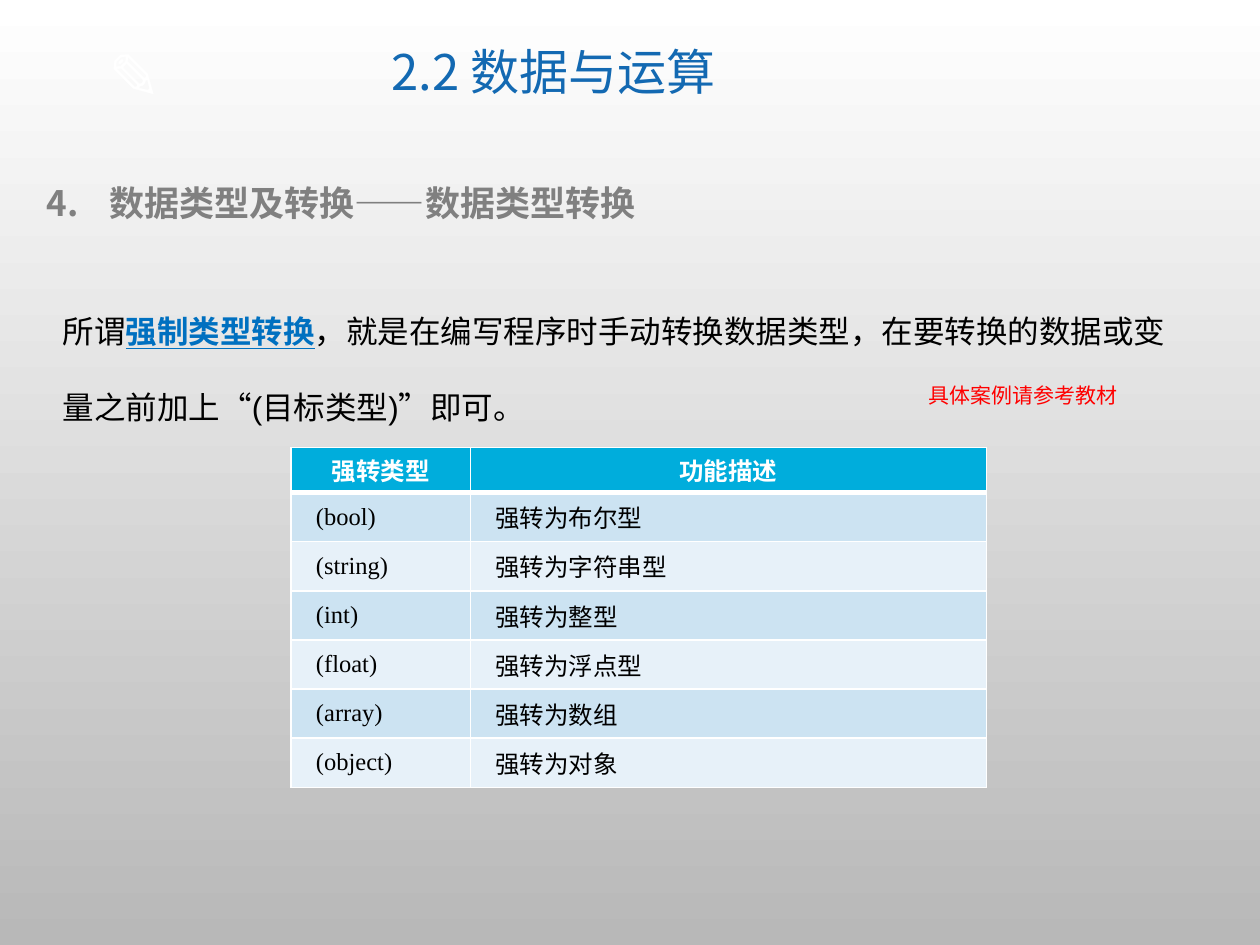
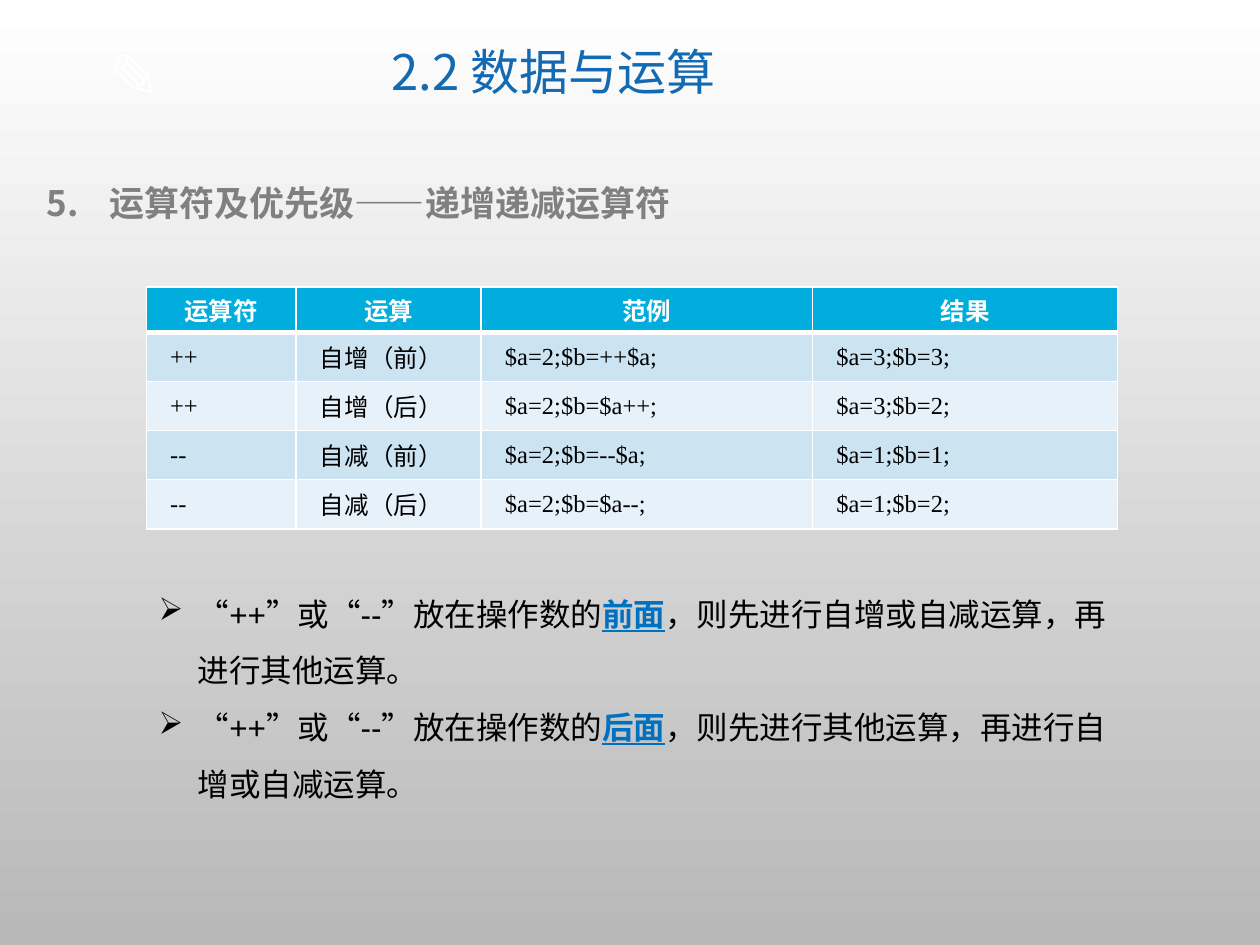
import pptx
import pptx.dml.color
import pptx.enum.text
import pptx.oxml
import pptx.oxml.ns
import pptx.util
from lxml import etree

Cm = pptx.util.Cm
Pt = pptx.util.Pt
ALIGN = pptx.enum.text.PP_ALIGN
ANCHOR = pptx.enum.text.MSO_ANCHOR
AUTO_SIZE = pptx.enum.text.MSO_AUTO_SIZE
qn = pptx.oxml.ns.qn

WHITE, BLACK, RED = "FFFFFF", "000000", "FF0000"
BACKGROUND_END = "B8B8B8"
TITLE_BLUE, HEADING_GRAY, EMPHASIS_BLUE = "1369B2", "808080", "0070C0"
HEADER_FILL, ROW_FILLS = "00ADDC", ("CCE3F2", "E7F1F9")
CJK_FONT = "Noto Sans CJK SC"

PENCIL_BOX = (1.93, 0.61, 2.18, 1.8)
TITLE_BOX = (4.6, 0.43, 13.11, 2.16)
HEADING_BOX = (0.69, 3.53, 23.42, 1.12)
HEADER_HEIGHT, ROW_HEIGHT = 0.91, 0.99


def color(hex_value):
    return pptx.dml.color.RGBColor.from_string(hex_value)


def style(para, size, name, hex_value, bold=False):
    font = para.font
    font.size, font.name, font.bold = Pt(size), name, bold
    font.color.rgb = color(hex_value)
    defaults = para._p.pPr.find(qn("a:defRPr"))
    etree.SubElement(defaults, qn("a:ea"), typeface=CJK_FONT)


def set_indent(para, left, first=0):
    properties = para._p.get_or_add_pPr()
    properties.set("marL", str(Cm(left)))
    properties.set("indent", str(Cm(first)))
    return properties


def add_text_box(page, box, wrap=True):
    frame = page.shapes.add_textbox(*map(Cm, box)).text_frame
    frame.word_wrap = wrap
    frame.auto_size = AUTO_SIZE.SHAPE_TO_FIT_TEXT
    return frame


def add_label(page, box, text, size, name, hex_value, bold=False):
    para = add_text_box(page, box, wrap=False).paragraphs[0]
    para.text = text
    style(para, size, name, hex_value, bold)


def add_emphasized(para, parts, spacing):
    para.line_spacing = spacing
    style(para, 18, "Arial", BLACK)
    for index, part in enumerate(parts):
        span = para.add_run()
        span.text = part
        if index % 2:
            span.font.bold = span.font.underline = True
            span.font.color.rgb = color(EMPHASIS_BLUE)


def add_title(page, box):
    title = page.shapes.title
    title.left, title.top, title.width, title.height = map(Cm, box)
    title.text_frame.vertical_anchor = ANCHOR.MIDDLE
    para = title.text_frame.paragraphs[0]
    para.text = "2.2 数据与运算"
    para.alignment = ALIGN.CENTER
    para.line_spacing = 0.9
    style(para, 28, CJK_FONT, TITLE_BLUE)


def add_heading(page, box, number, text):
    para = add_text_box(page, box).paragraphs[0]
    para.text = text
    properties = set_indent(para, 1.27, -1.27)
    etree.SubElement(properties, qn("a:buAutoNum"),
                     type="arabicPeriod", startAt=str(number))
    style(para, 20, CJK_FONT, HEADING_GRAY, bold=True)


def add_bullets(page, box, items):
    frame = add_text_box(page, box)
    for index, parts in enumerate(items):
        para = frame.add_paragraph() if index else frame.paragraphs[0]
        properties = set_indent(para, 0.79, -0.79)
        etree.SubElement(properties, qn("a:buChar"), char="➢")
        add_emphasized(para, parts, 1.5)


def set_borders(cell, row_index):
    widths = {"lnL": 1, "lnR": 1,
              "lnT": 3 if row_index == 1 else 1,
              "lnB": 3 if row_index == 0 else 1}
    properties = cell._tc.get_or_add_tcPr()
    for position, (side, width) in enumerate(widths.items()):
        line = etree.Element(qn(f"a:{side}"), w=str(Pt(width)))
        fill = etree.SubElement(line, qn("a:solidFill"))
        etree.SubElement(fill, qn("a:srgbClr"), val=WHITE)
        properties.insert(position, line)


def fill_cell(cell, text, row_index, inset):
    is_header = row_index == 0
    cell.margin_left = cell.margin_right = Cm(inset)
    cell.margin_top = cell.margin_bottom = 0
    cell.vertical_anchor = ANCHOR.MIDDLE
    cell.fill.solid()
    cell.fill.fore_color.rgb = color(HEADER_FILL if is_header else ROW_FILLS[(row_index - 1) % 2])
    set_borders(cell, row_index)
    para = cell.text_frame.paragraphs[0]
    para.text = text
    if is_header:
        para.alignment = ALIGN.CENTER
        style(para, 14, "Calibri", WHITE, bold=True)
    else:
        para.alignment = ALIGN.JUSTIFY
        set_indent(para, 0.3)
        style(para, 14, "Times New Roman", BLACK)


def add_data_table(page, left, top, widths, rows, inset):
    height = HEADER_HEIGHT + ROW_HEIGHT * (len(rows) - 1)
    table = page.shapes.add_table(len(rows), len(widths), Cm(left), Cm(top),
                                  Cm(sum(widths)), Cm(height)).table
    for column, width in zip(table.columns, widths):
        column.width = Cm(width)
    for row_index, texts in enumerate(rows):
        table.rows[row_index].height = Cm(ROW_HEIGHT if row_index else HEADER_HEIGHT)
        for column_index, text in enumerate(texts):
            fill_cell(table.cell(row_index, column_index), text, row_index, inset)


def set_background(master):
    fill = master.background.fill
    fill.gradient()
    fill.gradient_angle = 270
    for stop, position, hex_value in zip(fill.gradient_stops, (0, 1), (WHITE, BACKGROUND_END)):
        stop.position = position
        stop.color.rgb = color(hex_value)


def add_page(deck, number, heading):
    page = deck.slides.add_slide(deck.slide_layouts.get_by_name("Title Only"))
    add_label(page, PENCIL_BOX, "✎", 36, CJK_FONT, WHITE, bold=True)
    add_title(page, TITLE_BOX)
    add_heading(page, HEADING_BOX, number, heading)
    return page


def build_conversion_page(deck):
    page = add_page(deck, 4, "数据类型及转换——数据类型转换")
    explanation = add_text_box(page, (1.02, 5.41, 23.34, 3.33))
    add_emphasized(explanation.paragraphs[0], [
        "所谓", "强制类型转换",
        "，就是在编写程序时手动转换数据类型，在要转换的数据或变量之前加上“(目标类型)”即可。",
    ], 2.0)
    add_data_table(page, 5.87, 9.02, (3.61, 10.41), [
        ("强转类型", "功能描述"),
        ("(bool)", "强转为布尔型"),
        ("(string)", "强转为字符串型"),
        ("(int)", "强转为整型"),
        ("(float)", "强转为浮点型"),
        ("(array)", "强转为数组"),
        ("(object)", "强转为对象"),
    ], inset=0.2)
    add_label(page, (18.47, 7.59, 4.37, 0.76), "具体案例请参考教材", 12, "Arial", RED)


def build_operator_page(deck):
    page = add_page(deck, 5, "运算符及优先级——递增递减运算符")
    add_data_table(page, 2.95, 5.79, (3.02, 3.73, 6.68, 6.15), [
        ("运算符", "运算", "范例", "结果"),
        ("++", "自增（前）", "$a=2;$b=++$a;", "$a=3;$b=3;"),
        ("++", "自增（后）", "$a=2;$b=$a++;", "$a=3;$b=2;"),
        ("--", "自减（前）", "$a=2;$b=--$a;", "$a=1;$b=1;"),
        ("--", "自减（后）", "$a=2;$b=$a--;", "$a=1;$b=2;"),
    ], inset=0.18)
    operand_lead = "“++”或“--”放在操作数的"
    add_bullets(page, (2.95, 11.48, 20.17, 4.88), [
        (operand_lead, "前面", "，则先进行自增或自减运算，再进行其他运算。"),
        (operand_lead, "后面", "，则先进行其他运算，再进行自增或自减运算。"),
    ])


def main():
    deck = pptx.Presentation()
    deck.slide_width, deck.slide_height = Cm(25.4), Cm(19.05)
    set_background(deck.slide_master)
    build_conversion_page(deck)
    build_operator_page(deck)
    deck.save("out.pptx")


if __name__ == "__main__":
    main()
